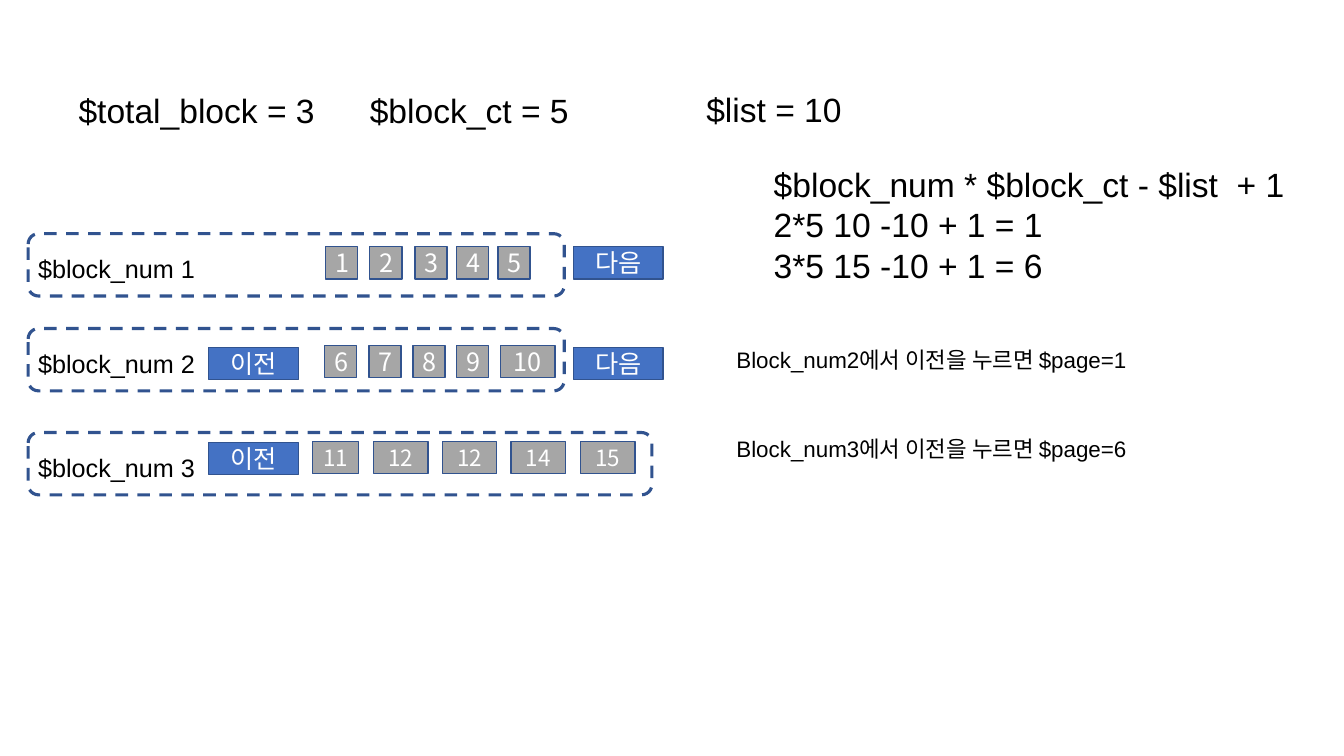
from pptx import Presentation
from pptx.dml.color import RGBColor
from pptx.enum.dml import MSO_LINE
from pptx.enum.shapes import MSO_SHAPE as SHAPE
from pptx.enum.text import MSO_ANCHOR as ANCHOR, MSO_AUTO_SIZE as AUTO_SIZE, PP_ALIGN as ALIGN
from pptx.oxml.ns import qn
from pptx.util import Cm, Pt

BLACK = RGBColor(0x00, 0x00, 0x00)
WHITE = RGBColor(0xFF, 0xFF, 0xFF)
GRAY = RGBColor(0xA6, 0xA6, 0xA6)
BLUE = RGBColor(0x44, 0x72, 0xC4)
DARK_BLUE = RGBColor(0x31, 0x53, 0x8F)

LATIN, KOREAN = "Arial", "Noto Sans CJK KR"
BLOCK_LEFT = 0.71
PREV_LEFT, NEXT_LEFT = 5.26, 14.45
BUTTON_WIDTH, BUTTON_HEIGHT = 2.26, 0.81
DIGIT, WIDE = 0.81, 1.37

# Each page button is (label, left, width), in centimetres.
BLOCKS = [
    dict(number=1, top=5.89, width=13.51, page_top=6.22, button_top=6.22, size=18,
         has_prev=False, has_next=True,
         pages=[("1", 8.2, DIGIT), ("2", 9.32, DIGIT), ("3", 10.46, DIGIT),
                ("4", 11.51, DIGIT), ("5", 12.55, DIGIT)]),
    dict(number=2, top=8.28, width=13.51, page_top=8.71, button_top=8.76, size=18,
         has_prev=True, has_next=True,
         pages=[("6", 8.18, DIGIT), ("7", 9.3, DIGIT), ("8", 10.41, DIGIT),
                ("9", 11.51, DIGIT), ("10", 12.62, WIDE)]),
    dict(number=3, top=10.9, width=15.72, page_top=11.13, button_top=11.15, size=16,
         has_prev=True, has_next=False,
         pages=[("11", 7.87, 1.17), ("12", 9.42, WIDE), ("12", 11.15, WIDE),
                ("14", 12.88, WIDE), ("15", 14.63, WIDE)]),
]

# Each note is (text, left, top, width, height, size).
NOTES = [
    ("$total_block = 3", 1.73, 2.13, 8.69, 1.27, 24),
    ("$block_ct = 5", 9.07, 2.13, 8.69, 1.27, 24),
    ("$list = 10", 17.55, 2.11, 8.69, 1.27, 24),
    ("$block_num * $block_ct - $list  + 1\n2*5 10 -10 + 1 = 1\n3*5 15 -10 + 1 = 6",
     19.25, 4.01, 13.51, 3.33, 24),
    ("Block_num2에서 이전을 누르면 $page=1", 18.31, 8.59, 10.85, 0.94, 16),
    ("Block_num3에서 이전을 누르면 $page=6", 18.31, 10.85, 10.85, 0.94, 16),
]


def format_text(frame, size, color, font):
    for paragraph in frame.paragraphs:
        for run in paragraph.runs:
            run.font.size = Pt(size)
            run.font.color.rgb = color
            run.font.name = font
            east_asian = run.font._element.makeelement(qn("a:ea"), {"typeface": KOREAN})
            run.font._element.find(qn("a:latin")).addnext(east_asian)


def add_note(slide, text, left, top, width, height, size):
    note = slide.shapes.add_textbox(Cm(left), Cm(top), Cm(width), Cm(height))
    frame = note.text_frame
    frame.word_wrap = True
    frame.auto_size = AUTO_SIZE.SHAPE_TO_FIT_TEXT
    frame.text = text
    format_text(frame, size, BLACK, LATIN)


def add_button(slide, text, left, top, width, fill, size=18):
    button = slide.shapes.add_shape(
        SHAPE.RECTANGLE, Cm(left), Cm(top), Cm(width), Cm(BUTTON_HEIGHT))
    button.shadow.inherit = False
    button.fill.solid()
    button.fill.fore_color.rgb = fill
    button.line.color.rgb = DARK_BLUE
    button.line.width = Pt(1)
    frame = button.text_frame
    frame.vertical_anchor = ANCHOR.MIDDLE
    frame.text = text
    frame.paragraphs[0].alignment = ALIGN.CENTER
    format_text(frame, size, WHITE, KOREAN)


def add_dashed_frame(slide, top, width):
    outline = slide.shapes.add_shape(
        SHAPE.ROUNDED_RECTANGLE, Cm(BLOCK_LEFT), Cm(top), Cm(width), Cm(1.57))
    outline.shadow.inherit = False
    outline.fill.background()
    outline.line.color.rgb = DARK_BLUE
    outline.line.width = Pt(2.25)
    outline.line.dash_style = MSO_LINE.DASH


def add_block(slide, block):
    """Draw one row of page buttons with its frame, label and navigation."""
    for label, left, width in block["pages"]:
        add_button(slide, label, left, block["page_top"], width, GRAY, block["size"])
    if block["has_prev"]:
        add_button(slide, "이전", PREV_LEFT, block["button_top"], BUTTON_WIDTH, BLUE)
    if block["has_next"]:
        add_button(slide, "다음", NEXT_LEFT, block["button_top"], BUTTON_WIDTH, BLUE)
    add_dashed_frame(slide, block["top"], block["width"])
    add_note(slide, f"$block_num {block['number']}",
             BLOCK_LEFT, block["top"] + 0.38, 4.67, 1.02, 18)


def main():
    deck = Presentation()
    deck.slide_width, deck.slide_height = Cm(33.87), Cm(19.05)
    slide = deck.slides.add_slide(deck.slide_layouts[6])
    for block in BLOCKS:
        add_block(slide, block)
    for note in NOTES:
        add_note(slide, *note)
    deck.save("out.pptx")


if __name__ == "__main__":
    main()
